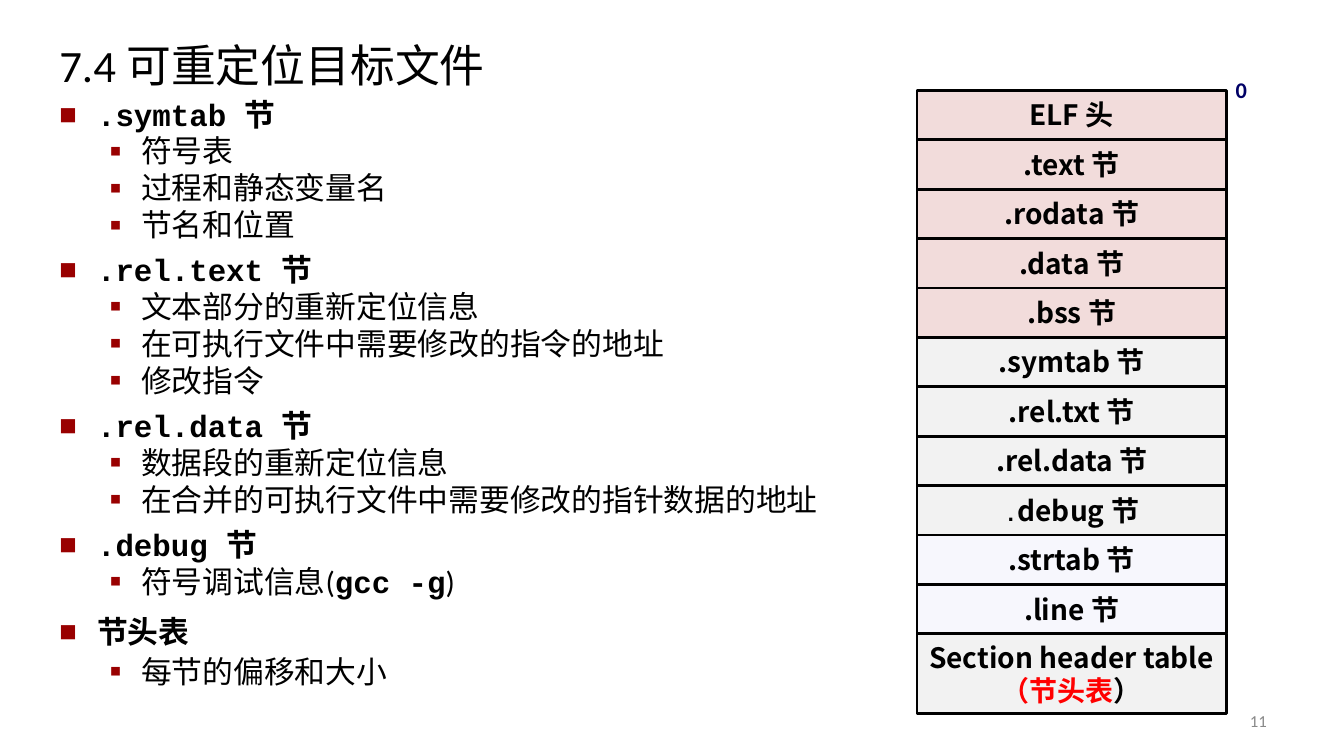
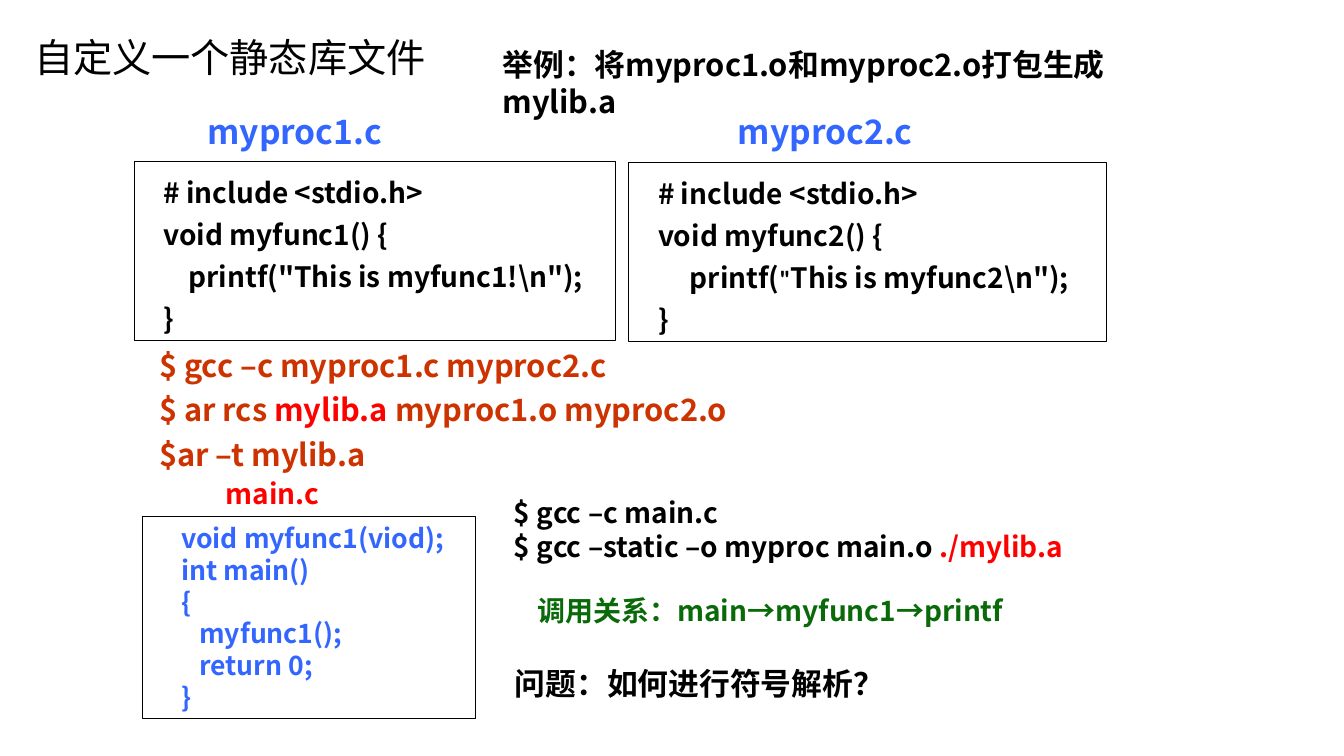
"""Build two slides on relocatable object files and static libraries."""
from lxml.etree import SubElement
from pptx import Presentation
from pptx.dml.color import RGBColor
from pptx.enum.shapes import MSO_SHAPE as SHAPE
from pptx.enum.text import MSO_ANCHOR as ANCHOR, PP_ALIGN as ALIGN
from pptx.oxml.ns import qn
from pptx.util import Pt

BLACK = RGBColor(0x00, 0x00, 0x00)
WHITE = RGBColor(0xFF, 0xFF, 0xFF)
RED = RGBColor(0xFF, 0x00, 0x00)
RUST = RGBColor(0xCC, 0x33, 0x00)
BLUE = RGBColor(0x33, 0x66, 0xFF)
GREEN = RGBColor(0x0A, 0x6A, 0x0A)
NAVY = RGBColor(0x00, 0x00, 0x66)
GRAY = RGBColor(0x89, 0x89, 0x89)
PINK = RGBColor(0xF2, 0xDC, 0xDB)
PALE = RGBColor(0xF2, 0xF2, 0xF2)
LILAC = RGBColor(0xD6, 0xD6, 0xF5)
BODY, MONO, CODE = "Calibri", "Courier New", "Noto Sans CJK SC"


def add_text(slide, at, lines, size, color=BLACK, font=CODE, bold=True, leading=None,
             indent=0, align=ALIGN.LEFT, anchor=ANCHOR.TOP, outline=None, fill=None):
    """Place lines, each a string or a list of (text, overrides) runs, in a box."""
    box = [Pt(length) for length in at]
    if outline:
        shape = slide.shapes.add_shape(SHAPE.RECTANGLE, *box)
        shape.shadow.inherit = False
        shape.line.color.rgb = BLACK
        shape.line.width = Pt(outline)
        if fill:
            shape.fill.solid()
            shape.fill.fore_color.rgb = fill
        else:
            shape.fill.background()
    else:
        shape = slide.shapes.add_textbox(*box)
    frame = shape.text_frame
    frame.word_wrap = True
    frame.vertical_anchor = anchor
    for number, line in enumerate(lines):
        paragraph = frame.paragraphs[0] if number == 0 else frame.add_paragraph()
        paragraph.alignment = align
        paragraph.line_spacing = Pt(leading or round(size * 1.2, 1))
        if indent:
            paragraph._p.get_or_add_pPr().set("marL", str(Pt(indent)))
        for words, changes in [(line, {})] if isinstance(line, str) else line:
            run = paragraph.add_run()
            run.text = words
            run.font.size = Pt(changes.get("size", size))
            run.font.bold = changes.get("bold", bold)
            run.font.color.rgb = changes.get("color", color)
            run.font.name = changes.get("font", font)
            east_asian = SubElement(run.font._element, qn("a:ea"))
            east_asian.set("typeface", run.font.name)
    return shape


def add_title(slide, at, title, size):
    """Place a slide title."""
    add_text(slide, at, [title], size, font=BODY, bold=False, anchor=ANCHOR.MIDDLE)


deck = Presentation()
deck.slide_width, deck.slide_height = Pt(960), Pt(540)
blank = deck.slide_layouts[6]

elf = deck.slides.add_slide(blank)
add_title(elf, (35.3, 22, 864, 48), "7.4 可重定位目标文件", 32)
add_text(elf, (688, 500.5, 224, 28.8), ["11"], 12, GRAY, BODY, False,
         align=ALIGN.RIGHT, anchor=ANCHOR.MIDDLE)

mono = {"font": MONO}
plain = {"bold": False}
section_notes = [
    (0, [(".symtab ", mono), ("节", {})]),
    (1, [("符号表", plain)]),
    (1, [("过程和静态变量名", plain)]),
    (1, [("节名和位置", plain)]),
    (0, [(".rel.text ", mono), ("节", {})]),
    (1, [("文本部分的重新定位信息", plain)]),
    (1, [("在可执行文件中需要修改的指令的地址", plain)]),
    (1, [("修改指令", plain)]),
    (0, [(".rel.data ", mono), ("节", {})]),
    (1, [("数据段的重新定位信息", plain)]),
    (1, [("在合并的可执行文件中需要修改的指针数据的地址", plain)]),
    (0, [(".debug ", mono), ("节", {})]),
    (1, [("符号调试信息(", plain), ("gcc -g", mono), (")", plain)]),
    (0, [("节头表", {})]),
    (1, [("每节的偏移和大小", plain)]),
]
bullet_styles = [
    {"margin": 27, "hang": 27, "before": 12.5, "leading": 19.6, "size": 60, "mark": "■"},
    {"margin": 58.5, "hang": 22.5, "before": 5.7, "leading": 20.7, "size": 110, "mark": "▪"},
]
notes = add_text(elf, (35.3, 71.3, 636.5, 430.6), [runs for _, runs in section_notes],
                 22, font=BODY)
for number, paragraph in enumerate(notes.text_frame.paragraphs):
    level = section_notes[number][0]
    style = bullet_styles[level]
    paragraph.level = level
    paragraph.line_spacing = Pt(23 if number >= len(section_notes) - 2 else style["leading"])
    paragraph.space_before = Pt(style["before"] if number else 0)
    properties = paragraph._p.get_or_add_pPr()
    properties.set("marL", str(Pt(style["margin"])))
    properties.set("indent", str(-Pt(style["hang"])))
    bullet_color = SubElement(properties, qn("a:buClr"))
    SubElement(bullet_color, qn("a:srgbClr")).set("val", "990000")
    SubElement(properties, qn("a:buSzPct")).set("val", str(style["size"] * 1000))
    SubElement(properties, qn("a:buFont")).set("typeface", BODY)
    SubElement(properties, qn("a:buChar")).set("char", style["mark"])

header_table = ["Section header table", [("（节头表", {"color": RED}), ("）", {})]]
elf_rows = [
    (["ELF 头"], PINK),
    ([".text 节"], PINK),
    ([".rodata 节"], PINK),
    ([".data 节"], PINK),
    ([".bss 节"], PINK),
    ([".symtab 节"], PALE),
    ([".rel.txt 节"], PALE),
    ([".rel.data 节"], PALE),
    ([[(".", {"font": MONO, "size": 16}), ("debug 节", {})]], PALE),
    ([".strtab 节"], LILAC),
    ([".line 节"], LILAC),
    (header_table, PALE),
]
for row, (label, fill) in enumerate(elf_rows):
    height = 57 if label is header_table else 35.3
    section = add_text(elf, (655, 64.5 + 35.3 * row, 221, height), label, 20, leading=23.5,
                       align=ALIGN.CENTER, anchor=ANCHOR.MIDDLE, outline=2, fill=fill)
    section.text_frame.word_wrap = False
    if fill == LILAC:
        tint = section._element.spPr.find(qn("a:solidFill"))[0]
        SubElement(tint, qn("a:alpha")).set("val", "19000")
add_text(elf, (875.5, 51, 21, 26.6), ["0"], 16, NAVY, BODY)

library = deck.slides.add_slide(blank)
add_title(library, (17.3, 21.6, 320, 37.4), "自定义一个静态库文件", 28)
add_text(library, (352, 28.8, 525, 62), ["举例：将myproc1.o和myproc2.o打包生成mylib.a"], 22)

sources = [
    ("myproc1.c", 141, (95.8, 115.2, 344, 128),
     ["# include <stdio.h>", "void myfunc1() {",
      "    printf(\"This is myfunc1!\\n\");", "}"]),
    ("myproc2.c", 520, (449.3, 115.9, 341.3, 128),
     ["# include <stdio.h>", "void myfunc2() {",
      [("     printf(", {}), ("\"", {"font": BODY, "size": 18}),
       ("This is myfunc2\\n\");", {})], "}"]),
]
for file_name, label_left, listing_at, listing in sources:
    add_text(library, listing_at, listing, 20, leading=30, indent=13.7,
             anchor=ANCHOR.MIDDLE, outline=0.75)
    add_text(library, (label_left, 75.6, 140.4, 36), [file_name], 24, BLUE)

add_text(library, (85.7, 238.3, 457, 103),
         ["$ gcc –c myproc1.c myproc2.c",
          [("$ ar rcs ", {}), ("mylib.a", {"color": RED}), (" myproc1.o myproc2.o", {})],
          "$ar –t mylib.a"],
         22, RUST, leading=31.8, indent=20.9, anchor=ANCHOR.MIDDLE)

add_text(library, (154, 337, 114.5, 31), ["main.c"], 20, RED)
add_text(library, (101.5, 368.6, 238.3, 144.7),
         ["void myfunc1(viod);", "int main()", "{", "   myfunc1();", "   return 0;", "}"],
         19, BLUE, indent=20.9, anchor=ANCHOR.MIDDLE, outline=0.75)

add_text(library, (360, 350.6, 430, 55.4),
         ["$ gcc –c main.c",
          [("$ gcc –static –o myproc main.o ", {}), ("./mylib.a", {"color": RED})]], 20)
add_text(library, (376.6, 420.5, 401, 31), ["调用关系：main→myfunc1→printf"], 20, GREEN)
add_text(library, (360.7, 471.6, 365.8, 33.8), ["问题：如何进行符号解析？"], 22, font=BODY)

deck.save("out.pptx")
